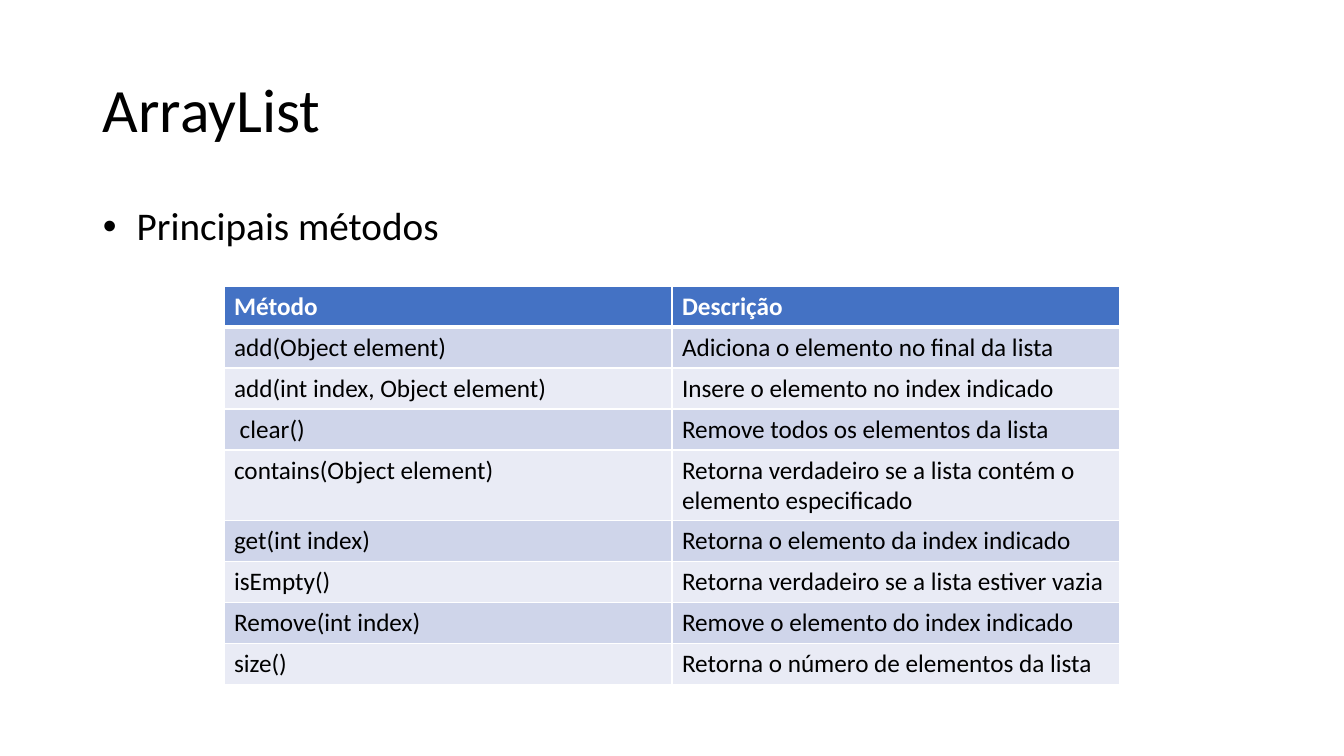
from typing import NamedTuple

from lxml import etree
from pptx import Presentation
from pptx import util as u
from pptx.dml.color import RGBColor
from pptx.enum import text
from pptx.oxml import ns

EMU_PER_PIXEL = 914400 / 100.8
FONT = "Calibri"
BLACK, WHITE, HEADER_BLUE = "000000", "FFFFFF", "4472C4"
BANDS = ("CFD5EA", "E9EBF5")


class Method(NamedTuple):
    signature: str
    description: str


class Box(NamedTuple):
    left: int
    top: int
    width: int
    height: int


HEADINGS = Method("Método", "Descrição")
METHODS = [
    Method("add(Object element)", "Adiciona o elemento no final da lista"),
    Method("add(int index, Object element)", "Insere o elemento no index indicado"),
    Method("\u00a0clear()", "Remove todos os elementos da lista"),
    Method("contains(Object element)",
           "Retorna verdadeiro se a lista contém o elemento especificado"),
    Method("get(int index)", "Retorna o elemento da index indicado"),
    Method("isEmpty()", "Retorna verdadeiro se a lista estiver vazia"),
    Method("Remove(int index)", "Remove o elemento do index indicado"),
    Method("size()", "Retorna o número de elementos da lista"),
]


def px(pixels: int) -> u.Emu:
    return u.Emu(round(pixels * EMU_PER_PIXEL))


def color(hex_value: str) -> RGBColor:
    return RGBColor.from_string(hex_value)


def style_font(paragraph, size: int, hex_value: str, bold: bool = False) -> None:
    font = paragraph.font
    font.name, font.size, font.bold = FONT, u.Pt(size), bold
    font.color.rgb = color(hex_value)


def add_text(slide, box: Box, words: str, size: int, anchor):
    frame = slide.shapes.add_textbox(*map(px, box)).text_frame
    frame.word_wrap = True
    frame.vertical_anchor = anchor
    paragraph = frame.paragraphs[0]
    paragraph.text = words
    paragraph.line_spacing = 0.9
    style_font(paragraph, size, BLACK)
    return paragraph


def add_bullet(paragraph, indent: int) -> None:
    properties = paragraph._p.get_or_add_pPr()
    properties.set("marL", str(px(indent)))
    properties.set("indent", str(-px(indent)))
    bullet_font = etree.Element(ns.qn("a:buFont"), typeface="Arial")
    bullet = etree.Element(ns.qn("a:buChar"), char="•")
    properties.insert_element_before(bullet_font, "a:tabLst", "a:defRPr", "a:extLst")
    bullet_font.addnext(bullet)


def add_border(cell, side: str, points: int) -> None:
    line = etree.SubElement(cell._tc.get_or_add_tcPr(), ns.qn(f"a:ln{side}"),
                            w=str(u.Pt(points)))
    fill = etree.SubElement(line, ns.qn("a:solidFill"))
    etree.SubElement(fill, ns.qn("a:srgbClr"), val=WHITE)


def fill_cell(cell, words: str, row: int) -> None:
    is_header = row == 0
    # The rule below the header is thicker than the rest
    thick_side = {0: "B", 1: "T"}.get(row)
    for side in "LRTB":
        add_border(cell, side, 3 if side == thick_side else 1)
    cell.fill.solid()
    cell.fill.fore_color.rgb = color(HEADER_BLUE if is_header else BANDS[(row - 1) % 2])
    cell.text = words
    style_font(cell.text_frame.paragraphs[0], 18, WHITE if is_header else BLACK, is_header)


def add_method_table(slide, left: int, top: int, column_width: int, row_height: int) -> None:
    rows = [HEADINGS, *METHODS]
    columns = len(HEADINGS)
    box = Box(left, top, columns * column_width, len(rows) * row_height)
    table = slide.shapes.add_table(len(rows), columns, *map(px, box)).table
    table.horz_banding = False
    for column in table.columns:
        column.width = px(column_width)
    for row, method in enumerate(rows):
        table.rows[row].height = px(row_height)
        for column, words in enumerate(method):
            fill_cell(table.cell(row, column), words, row)


presentation = Presentation()
presentation.slide_width, presentation.slide_height = px(1344), px(756)
slide = presentation.slides.add_slide(presentation.slide_layouts[6])

# Title
add_text(slide, Box(93, 40, 1159, 146), "ArrayList", 44, text.MSO_ANCHOR.MIDDLE)

# Bulleted topic
topic = add_text(slide, Box(93, 202, 1159, 480), "\u00a0Principais métodos", 28,
                 text.MSO_ANCHOR.TOP)
topic.space_before = u.Pt(10)
add_bullet(topic, 25)

# Methods and their descriptions
add_method_table(slide, left=224, top=286, column_width=448, row_height=41)

presentation.save("out.pptx")
